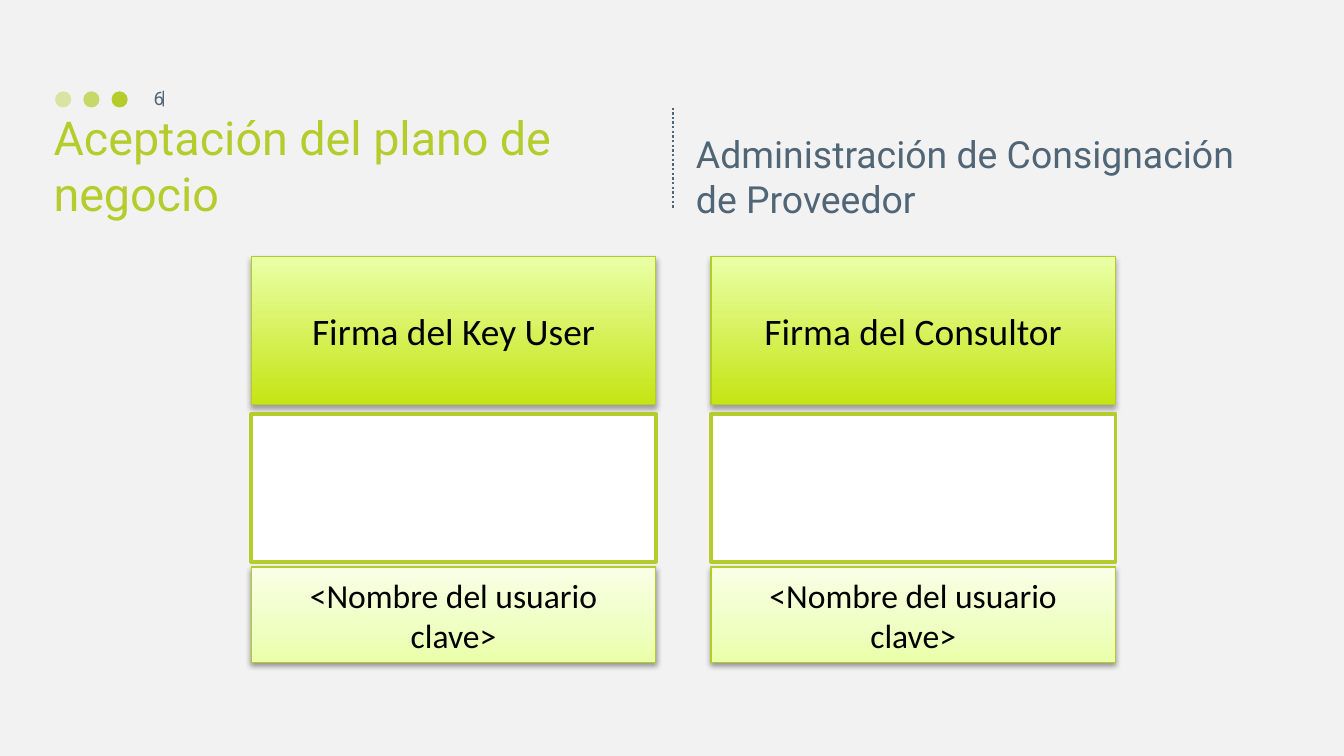
from lxml.etree import SubElement
from pptx import Presentation
from pptx.dml.color import RGBColor
from pptx.enum.dml import MSO_LINE
from pptx.enum.shapes import MSO_CONNECTOR, MSO_SHAPE
from pptx.enum.text import MSO_ANCHOR, MSO_AUTO_SIZE, PP_ALIGN
from pptx.oxml.ns import qn
from pptx.util import Inches, Pt

COLORS = {
    "background": "F2F2F2",
    "lime": "B4CD2C",
    "border": "B3CC27",
    "slate": "506576",
    "white": "FFFFFF",
    "black": "000000",
}
HEADER_STOPS = [(0, "C5E514"), (100, "EAFFA7")]
NAME_STOPS = [(0, "EAFFA7"), (35, "EFFFC1"), (100, "F9FFE7")]


def write_text(box, text, size, font="Roboto", color="slate",
               align=PP_ALIGN.LEFT, anchor=MSO_ANCHOR.MIDDLE, wrap=True):
    frame = box.text_frame
    frame.word_wrap = wrap
    frame.vertical_anchor = anchor
    para = frame.paragraphs[0]
    para.alignment = align
    span = para.add_run()
    span.text = text
    span.font.size = Pt(size)
    span.font.name = font
    span.font.color.rgb = RGBColor.from_string(COLORS[color])
    return frame


def add_solid(shape_type, left, top, width, height, color):
    shape = page.shapes.add_shape(
        shape_type, Inches(left), Inches(top), Inches(width), Inches(height))
    shape.shadow.inherit = False
    shape.fill.solid()
    shape.fill.fore_color.rgb = RGBColor.from_string(COLORS[color])
    shape.line.fill.background()
    return shape


deck = Presentation()
deck.slide_width = Inches(10)
deck.slide_height = Inches(10) * 9 // 16
page = deck.slides.add_slide(deck.slide_layouts[6])
page.background.fill.solid()
page.background.fill.fore_color.rgb = RGBColor.from_string(COLORS["background"])

for index, opacity in enumerate([40, 70, 100]):
    dot = add_solid(MSO_SHAPE.OVAL, 0.41 + 0.21 * index, 0.68, 0.12, 0.12, "lime")
    if opacity < 100:
        dot_color = dot.fill._xPr.find(qn("a:solidFill"))[0]
        SubElement(dot_color, qn("a:alpha"), val=str(opacity * 1000))

divider = page.shapes.add_connector(
    MSO_CONNECTOR.STRAIGHT, Inches(5.01), Inches(0.8), Inches(5.01), Inches(1.55))
divider.line.color.rgb = RGBColor.from_string(COLORS["slate"])
divider.line.width = Pt(1.25)
divider.line.dash_style = MSO_LINE.ROUND_DOT
SubElement(divider._element.spPr, qn("a:effectLst"))

number_bar = page.shapes.add_textbox(Inches(1.2), Inches(0.66), Inches(0.06), Inches(0.15))
bar_frame = write_text(number_bar, "|", 10, anchor=MSO_ANCHOR.TOP, wrap=False)
bar_frame.margin_bottom = 0
bar_frame.auto_size = MSO_AUTO_SIZE.SHAPE_TO_FIT_TEXT
bar_frame.paragraphs[0].line_spacing = 0.5

headings = [
    (0.3, 4.59, "Aceptación del plano de negocio", 25, "lime"),
    (5.08, 4.42, "Administración de Consignación de Proveedor", 20, "slate"),
]
for left, width, text, size, color in headings:
    heading = page.shapes.add_textbox(Inches(left), Inches(0.75), Inches(width), Inches(0.94))
    write_text(heading, text, size, color=color, anchor=MSO_ANCHOR.BOTTOM)

rows = [
    (1.91, 1.1, 20, HEADER_STOPS, 35, 1.8),
    (3.08, 1.1, None, None, None, None),
    (4.22, 0.71, 18, NAME_STOPS, 38, 1.6),
]
columns = [
    (1.87, ["Firma del Key User", None, "<Nombre del usuario clave>"]),
    (5.29, ["Firma del Consultor", None, "<Nombre del usuario clave>"]),
]
for left, texts in columns:
    for text, (top, height, size, stops, opacity, distance) in zip(texts, rows):
        box = add_solid(MSO_SHAPE.RECTANGLE, left, top, 3.01, height, "white")
        box.line.color.rgb = RGBColor.from_string(COLORS["border" if stops else "lime"])
        box.line.width = Pt(0.75 if stops else 2)
        if not stops:
            continue
        write_text(box, text, size, font="Calibri", color="black", align=PP_ALIGN.CENTER)

        box.fill.gradient()
        box.fill.gradient_angle = 90
        properties = box._element.spPr
        stop_list = properties.find(qn("a:gradFill")).find(qn("a:gsLst"))
        for old_stop in list(stop_list):
            stop_list.remove(old_stop)
        for position, color in stops:
            stop = SubElement(stop_list, qn("a:gs"), pos=str(position * 1000))
            SubElement(stop, qn("a:srgbClr"), val=color)

        shadow = SubElement(
            properties.find(qn("a:effectLst")), qn("a:outerShdw"),
            blurRad=str(Pt(3.1)), dist=str(Pt(distance)), dir="5400000", rotWithShape="0")
        shadow_color = SubElement(shadow, qn("a:srgbClr"), val=COLORS["black"])
        SubElement(shadow_color, qn("a:alpha"), val=str(opacity * 1000))

page_number = page.shapes.add_textbox(Inches(0.86), Inches(0.58), Inches(0.46), Inches(0.3))
write_text(page_number, "6", 10, align=PP_ALIGN.RIGHT)

deck.save("out.pptx")
